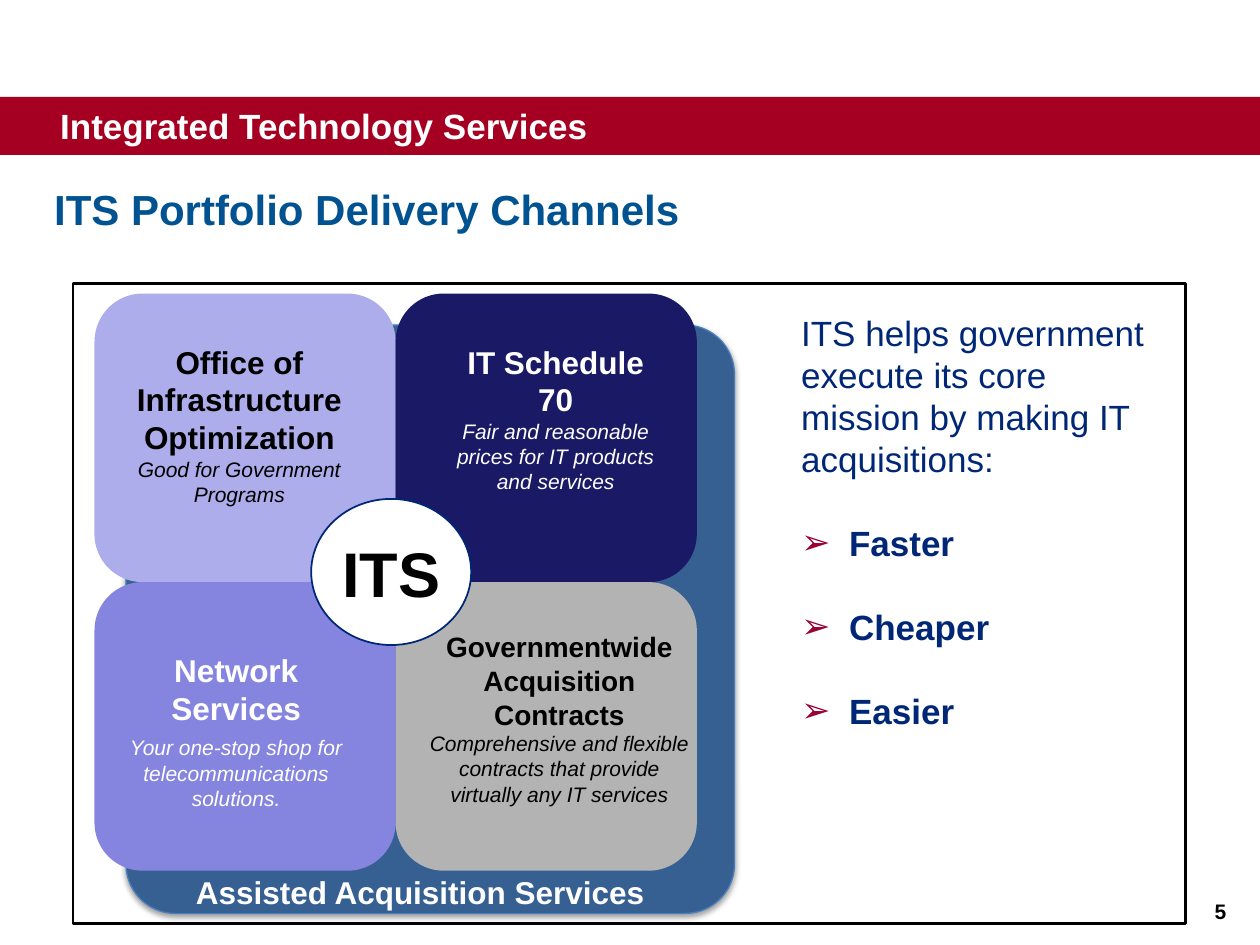
from lxml.etree import SubElement
from pptx import Presentation
from pptx.dml.color import RGBColor
from pptx.enum.shapes import MSO_SHAPE as SHAPE
from pptx.enum.text import MSO_ANCHOR as ANCHOR, PP_ALIGN as ALIGN
from pptx.oxml.ns import qn
from pptx.util import Inches, Pt

COLORS = {
    "band": "A50021", "title": "005390", "navy": "002776", "bullet": "990033",
    "black": "000000", "white": "FFFFFF", "base": "376092", "base_line": "4B7EBC",
    "lavender": "ADADEB", "indigo": "191966", "violet": "8585E0", "gray": "B3B3B3",
}
FONT = "Arial"
TILE_LEFT, TILE_TOP, TILE_W, TILE_H = 0.75, 2.33, 2.39, 2.29

# Text box, heading, heading size, tagline, space before tagline, text colour, tile colour
CHANNELS = [
    ((0.78, 2.67, 2.24, 1.38), "Office of Infrastructure Optimization", 18,
     "Good for Government Programs", 0, "black", "lavender"),
    ((3.47, 2.67, 1.88, 1.31), "IT Schedule 70", 18,
     "Fair and reasonable prices for IT products and services", 0, "white", "indigo"),
    ((0.76, 5.12, 2.23, 1.05), "Network Services", 18,
     "Your one-stop shop for telecommunications solutions.", 4.5, "white", "violet"),
    ((3.29, 4.95, 2.3, 1.48), "Governmentwide Acquisition Contracts", 16,
     "Comprehensive and flexible contracts that provide virtually any IT services",
     0, "black", "gray"),
]


def rgb(name):
    return RGBColor.from_string(COLORS[name])


def add_shape(slide, kind, box, fill=None, line=None, width=1):
    sp = slide.shapes.add_shape(kind, *map(Inches, box))
    sp.shadow.inherit = False
    if fill:
        sp.fill.solid()
        sp.fill.fore_color.rgb = rgb(fill)
    else:
        sp.fill.background()
    if line:
        sp.line.color.rgb = rgb(line)
        sp.line.width = Pt(width)
    else:
        sp.line.fill.background()
    return sp


def add_textbox(slide, box):
    tf = slide.shapes.add_textbox(*map(Inches, box)).text_frame
    tf.word_wrap = True
    return tf


def add_run(p, text, size, color, bold=False, italic=False):
    r = p.add_run()
    r.text = text
    font = r.font
    font.name, font.size, font.bold, font.italic = FONT, Pt(size), bold, italic
    font.color.rgb = rgb(color)


def write(tf, text, size, color, align=ALIGN.LEFT, bold=True):
    p = tf.paragraphs[0]
    p.alignment = align
    add_run(p, text, size, color, bold)
    return p


def set_indent(p, left, first=0):
    pPr = p._p.get_or_add_pPr()
    pPr.set("marL", str(Inches(left)))
    pPr.set("indent", str(Inches(first)))
    return pPr


def add_bullet(p, char, color):
    pPr = set_indent(p, 0.38, -0.38)
    clr = SubElement(pPr, qn("a:buClr"))
    SubElement(clr, qn("a:srgbClr")).set("val", COLORS[color])
    SubElement(pPr, qn("a:buFont")).set("typeface", FONT)
    SubElement(pPr, qn("a:buChar")).set("char", char)


def add_shadow(sp):
    effects = sp._element.spPr.find(qn("a:effectLst"))
    shadow = SubElement(effects, qn("a:outerShdw"), blurRad=str(Pt(3.1)),
                        dist=str(Pt(1.6)), dir="5400000", rotWithShape="0")
    clr = SubElement(shadow, qn("a:srgbClr"), val=COLORS["black"])
    SubElement(clr, qn("a:alpha"), val="38000")


def add_header(slide):
    band = add_shape(slide, SHAPE.RECTANGLE, (0, 0.77, 10, 0.46), "band")
    tf = band.text_frame
    tf.vertical_anchor = ANCHOR.MIDDLE
    set_indent(write(tf, "Integrated Technology Services", 20, "white"), 0.38)

    title = slide.shapes.title
    title.left, title.top, title.width, title.height = map(Inches, (0.33, 1.25, 9.5, 0.81))
    tf = title.text_frame
    tf.margin_top = tf.margin_bottom = Inches(0.2)
    tf.vertical_anchor = ANCHOR.MIDDLE
    write(tf, "ITS Portfolio Delivery Channels", 24, "title")


def add_channels(slide):
    # Backing panel
    base = add_shape(slide, SHAPE.ROUNDED_RECTANGLE, (1, 2.58, 4.83, 4.67),
                     "base", "base_line", 0.75)
    base.adjustments[0] = 0.084
    add_shadow(base)

    # Two by two tiles with their texts
    for i, (box, heading, size, tagline, gap, color, fill) in enumerate(CHANNELS):
        row, col = divmod(i, 2)
        add_shape(slide, SHAPE.ROUNDED_RECTANGLE,
                  (TILE_LEFT + col * TILE_W, TILE_TOP + row * TILE_H, TILE_W, TILE_H), fill)
        tf = add_textbox(slide, box)
        write(tf, heading, size, color, ALIGN.CENTER)
        p = tf.add_paragraph()
        p.alignment = ALIGN.CENTER
        p.space_before = Pt(gap)
        add_run(p, tagline, 12, color, italic=True)

    # Hub and base label
    hub = add_shape(slide, SHAPE.OVAL, (2.47, 3.96, 1.27, 1.16), "white", "navy")
    tf = hub.text_frame
    tf.margin_left = tf.margin_right = tf.margin_top = tf.margin_bottom = Inches(0.05)
    tf.vertical_anchor = ANCHOR.MIDDLE
    write(tf, "ITS", 36, "black", ALIGN.CENTER)
    write(add_textbox(slide, (1.17, 6.88, 4.33, 0.4)),
          "Assisted Acquisition Services", 18, "white", ALIGN.CENTER)


def add_benefits(slide):
    tf = add_textbox(slide, (6.26, 2.42, 2.99, 3.47))
    write(tf, "ITS helps government execute its core mission by making IT acquisitions:",
          20, "navy", bold=False)
    for benefit in ("Faster", "Cheaper", "Easier"):
        p = tf.add_paragraph()
        p.level = 1
        add_run(p, benefit, 20, "navy", bold=True)
    for p in tf.paragraphs:
        p.space_before = p.space_after = Pt(12)
    for p in tf.paragraphs[1:]:
        add_bullet(p, "➢", "bullet")


def main():
    prs = Presentation()
    prs.slide_width, prs.slide_height = Inches(10), Inches(7.5)
    slide = prs.slides.add_slide(prs.slide_layouts[5])

    add_header(slide)
    add_benefits(slide)
    add_shape(slide, SHAPE.RECTANGLE, (0.58, 2.25, 8.83, 5.08), line="black", width=1.5)
    add_channels(slide)
    # Slide number
    write(add_textbox(slide, (7.75, 7.08, 2.08, 0.28)), "5", 12, "black", ALIGN.RIGHT)

    prs.save("out.pptx")


if __name__ == "__main__":
    main()
